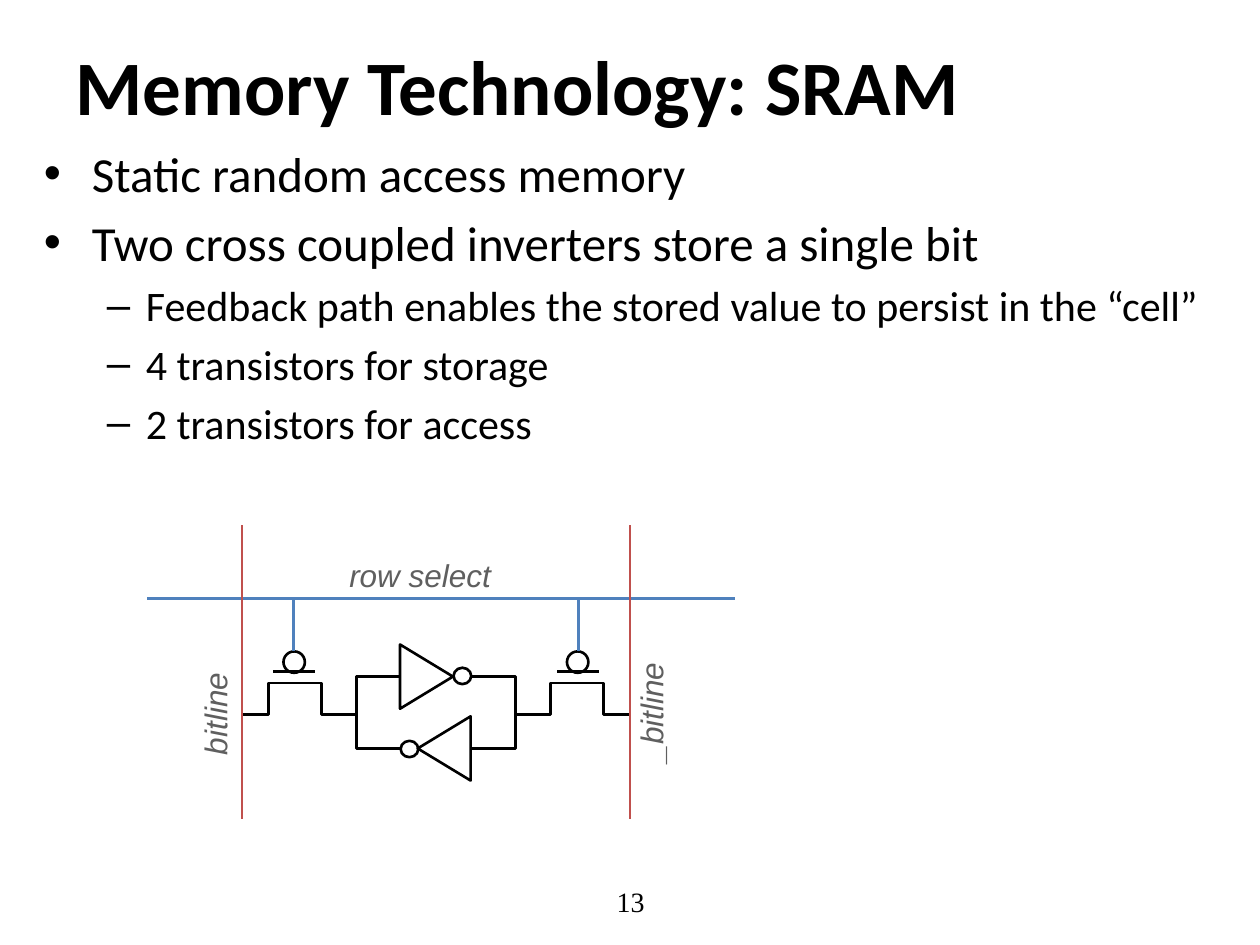
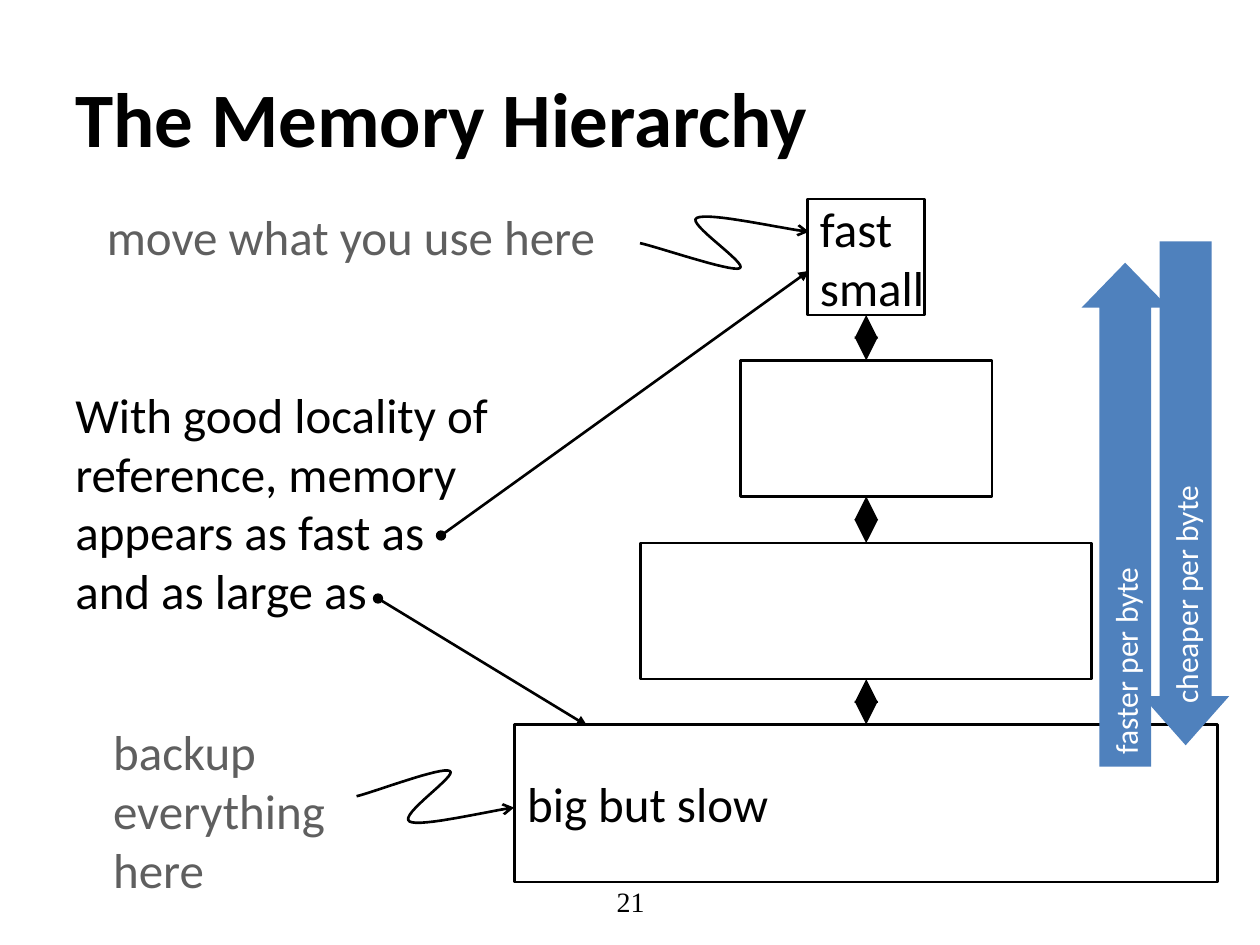
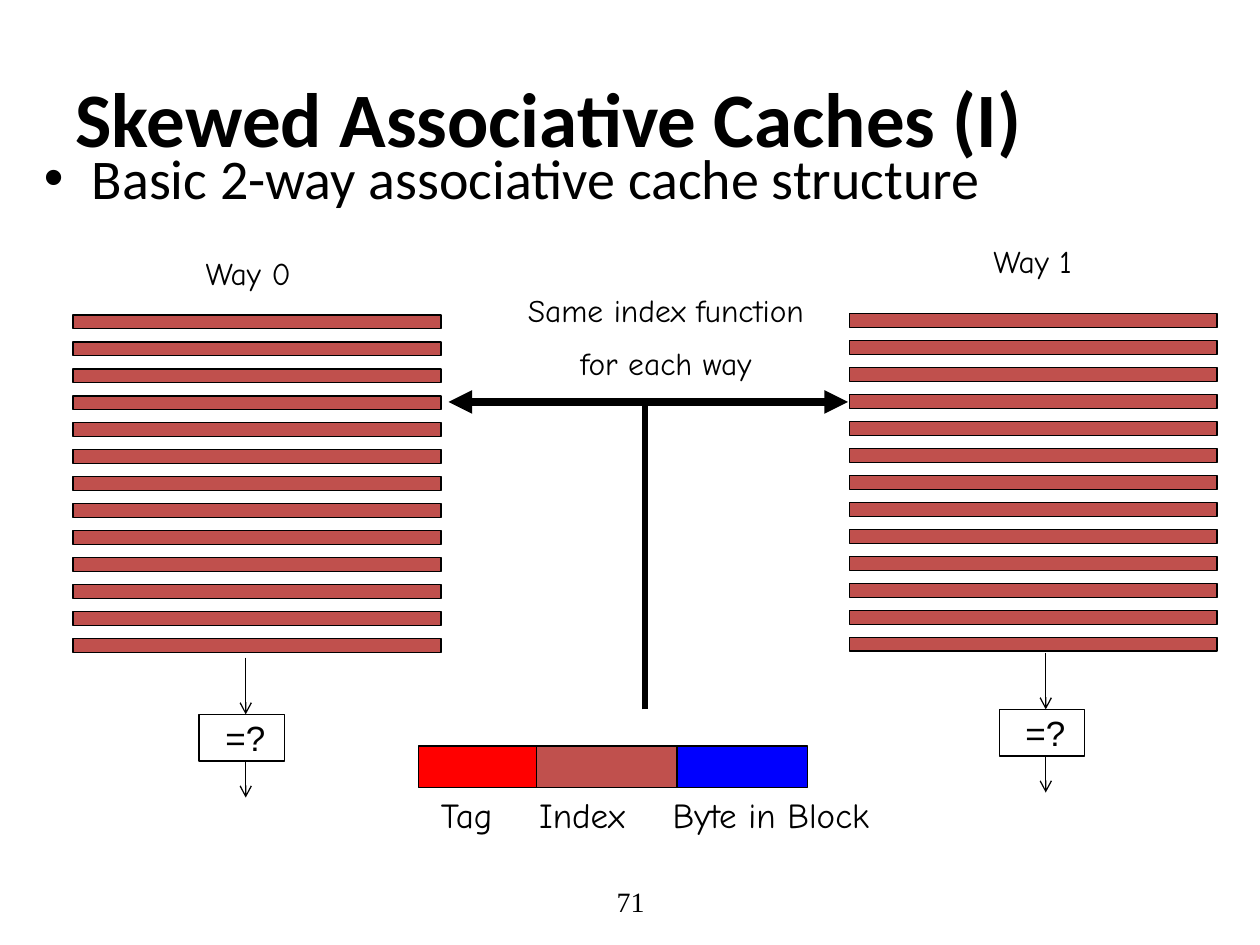
"""Build three lecture slides on SRAM, the memory hierarchy and associative caches."""
from itertools import pairwise

from lxml import etree
from pptx import Presentation
from pptx.dml.color import RGBColor
from pptx.enum.shapes import MSO_CONNECTOR, MSO_SHAPE
from pptx.enum.text import MSO_ANCHOR, MSO_AUTO_SIZE, PP_ALIGN
from pptx.oxml.ns import qn
from pptx.util import Inches, Pt

STRAIGHT = MSO_CONNECTOR.STRAIGHT
RECTANGLE, OVAL = MSO_SHAPE.RECTANGLE, MSO_SHAPE.OVAL
TRIANGLE = MSO_SHAPE.ISOSCELES_TRIANGLE
RIGHT_ARROW, LEFT_ARROW = MSO_SHAPE.RIGHT_ARROW, MSO_SHAPE.LEFT_ARROW
TOP, MIDDLE = MSO_ANCHOR.TOP, MSO_ANCHOR.MIDDLE
LEFT, CENTER = PP_ALIGN.LEFT, PP_ALIGN.CENTER
FIXED, GROW = MSO_AUTO_SIZE.NONE, MSO_AUTO_SIZE.SHAPE_TO_FIT_TEXT
TITLE_ONLY = 5


class Theme:
    """Colours, line widths and text styles (font, size, colour, bold, italic)."""
    BLACK, WHITE, GREY = "000000", "FFFFFF", "5F5F5F"
    BLUE, BRICK = "4F81BD", "C0504D"
    TAG_RED, BYTE_BLUE = "FF0000", "0000FF"
    THIN, NORMAL, STEM, HEAVY = 0.75, 1.5, 3, 4.5
    TITLE = ("Calibri", 44, BLACK, True, False)
    NUMBER = ("Times New Roman", 16, BLACK, False, False)
    TOPIC = ("Calibri", 32, BLACK, False, False)
    BODY = ("Calibri", 28, BLACK, False, False)
    DETAIL = ("Calibri", 24, BLACK, False, False)
    ADVICE = ("Calibri", 28, GREY, False, False)
    TREND = ("Calibri", 18, WHITE, False, False)
    WIRE = ("Arial", 18, GREY, False, True)
    COMPARE = ("Arial", 20, BLACK, False, False)
    CAPTION = ("Comic Neue", 18, BLACK, False, False)
    FIELD = ("Comic Neue", 20, BLACK, False, False)


def put_text(shape, text, style, align=LEFT, anchor=TOP, wrap=False, size=GROW):
    """Fill a shape with text in one style."""
    frame = shape.text_frame
    frame.text = text
    frame.word_wrap, frame.auto_size, frame.vertical_anchor = wrap, size, anchor
    for paragraph in frame.paragraphs:
        paragraph.alignment = align
        for run in paragraph.runs:
            run.font.name, run.font.size = style[0], Pt(style[1])
            run.font.color.rgb = RGBColor.from_string(style[2])
            run.font.bold, run.font.italic = style[3:]
    return frame.paragraphs


def draw(shape, color=Theme.BLACK, width=Theme.NORMAL, fill=None, head=None, tail=None):
    """Set line, fill and arrowheads of a shape or connector, without a shadow."""
    if color:
        shape.line.color.rgb = RGBColor.from_string(color)
        shape.line.width = Pt(width)
    else:
        shape.line.fill.background()
    if fill:
        shape.fill.solid()
        shape.fill.fore_color.rgb = RGBColor.from_string(fill)
    elif hasattr(shape, "fill"):
        shape.fill.background()
    properties = shape._element.spPr
    for end, kind in (("a:headEnd", head), ("a:tailEnd", tail)):
        if kind:
            etree.SubElement(properties.find(qn("a:ln")), qn(end), type=kind)
    etree.SubElement(properties, qn("a:effectLst"))
    return shape


deck = Presentation()
deck.slide_width, deck.slide_height = Inches(10), Inches(7.5)

BULLETS = (("•", 0.38, -0.38), ("–", 0.81, -0.31))
PAGES = (
    ("Memory Technology: SRAM", 0.05, "13", (
        (0, "Static random access memory", Theme.BODY),
        (0, "Two cross coupled inverters store a single bit", Theme.BODY),
        (1, "Feedback path enables the stored value to persist in the “cell”", Theme.DETAIL),
        (1, "4 transistors for storage", Theme.DETAIL),
        (1, "2 transistors for access", Theme.DETAIL))),
    ("The Memory Hierarchy", 0.3, "21", ()),
    ("Skewed Associative Caches (I)", 0.3, "71", (
        (0, "Basic 2-way associative cache structure", Theme.TOPIC),)),
)

canvases = []
for title, title_top, number, points in PAGES:
    shapes = deck.slides.add_slide(deck.slide_layouts[TITLE_ONLY]).shapes
    canvases.append(shapes)
    heading = shapes.title
    heading.left, heading.top = Inches(0.5), Inches(title_top)
    heading.width, heading.height = Inches(9), Inches(1.25)
    put_text(heading, title, Theme.TITLE, anchor=MIDDLE, wrap=True, size=FIXED)
    page_number = shapes.add_textbox(*map(Inches, (3.42, 6.95, 3.17, 0.4)))
    put_text(page_number, number, Theme.NUMBER, CENTER, MIDDLE, True, FIXED)
    if not points:
        continue
    body = shapes.add_textbox(*map(Inches, (0.25, 1.09, 9.42, 5.68)))
    paragraphs = put_text(body, "\n".join(text for _, text, _ in points),
                          points[0][2], wrap=True, size=FIXED)
    for position, (paragraph, (level, _, style)) in enumerate(zip(paragraphs, points)):
        mark, margin, indent = BULLETS[level]
        paragraph.level = level
        paragraph.space_before = Pt(0.2 * style[1] if position else 0)
        layout = paragraph._p.get_or_add_pPr()
        layout.set("marL", str(Inches(margin)))
        layout.set("indent", str(Inches(indent)))
        etree.SubElement(layout, qn("a:buFont"), typeface="Arial")
        etree.SubElement(layout, qn("a:buChar"), char=mark)
        paragraph.runs[0].font.size = Pt(style[1])

sram, hierarchy, cache = canvases

for left, top, turn, bubble_left, bubble_top in ((3.13, 5.16, 90, 3.6, 5.3),
                                                 (3.27, 5.73, 270, 3.18, 5.88)):
    inverter = draw(sram.add_shape(TRIANGLE, *map(Inches, (left, top, 0.51, 0.42))))
    inverter.rotation = turn
    draw(sram.add_shape(OVAL, *map(Inches, (bubble_left, bubble_top, 0.14, 0.13))))

draw(sram.add_connector(STRAIGHT, *map(Inches, (1.17, 4.75, 5.83, 4.75))), Theme.BLUE)

FEEDBACK = ((3.18, 5.37), (2.83, 5.37), (2.83, 5.94), (3.18, 5.94))
ACCESS = ((1.92, 5.67), (2.13, 5.67), (2.13, 5.42), (2.55, 5.42), (2.55, 5.67), (2.83, 5.67))
SIDE_LINES = (
    (2.17, 5.33, 2.5, 5.33, Theme.BLACK),
    (1.92, 4.17, 1.92, 6.5, Theme.BRICK),
    (2.33, 4.75, 2.33, 5.17, Theme.BLUE),
)
for mirror in (0, 6.92):
    for wire in (FEEDBACK, ACCESS):
        corners = [(Inches(abs(mirror - x)), Inches(y)) for x, y in wire]
        trace = sram.build_freeform(*corners[0])
        trace.add_line_segments(corners[1:], close=False)
        draw(trace.convert_to_shape())
    gate_left = abs(mirror - 2.335) - 0.085
    draw(sram.add_shape(OVAL, *map(Inches, (gate_left, 5.17, 0.17, 0.17))))
    for x1, y1, x2, y2, color in SIDE_LINES:
        ends = (abs(mirror - x1), y1, abs(mirror - x2), y2)
        draw(sram.add_connector(STRAIGHT, *map(Inches, ends)), color)

for name, left, top, width, turn in (("row select", 2.67, 4.4, 1.33, 0),
                                     ("bitline", 1.3, 5.48, 0.85, 270),
                                     ("_bitline", 4.69, 5.47, 0.99, 270)):
    wire_label = sram.add_textbox(*map(Inches, (left, top, width, 0.37)))
    put_text(wire_label, name, Theme.WIRE, CENTER)[0].line_spacing = 0.9
    wire_label.rotation = turn

TIER_CENTER = 6.875
tiers = []
for top, width, height, words, fill in ((1.58, 0.93, 0.92, "fast\nsmall", None),
                                        (2.86, 2, 1.08, "", Theme.WHITE),
                                        (4.31, 3.58, 1.08, "", Theme.WHITE),
                                        (5.75, 5.58, 1.25, "big but slow", None)):
    frame = (TIER_CENTER - width / 2, top, width, height)
    tier = draw(hierarchy.add_shape(RECTANGLE, *map(Inches, frame)), fill=fill)
    if words:
        put_text(tier, words, Theme.BODY, anchor=MIDDLE, size=FIXED)
    tiers.append(tier)
for upper, lower in pairwise(tiers):
    transfer = hierarchy.add_connector(STRAIGHT, 0, 0, 0, 0)
    transfer.begin_connect(upper, 2)
    transfer.end_connect(lower, 0)
    draw(transfer, width=Theme.HEAVY, head="triangle", tail="triangle")

for words, frame, style, wrap in (
        ("move what you use here", (0.75, 1.59, 4.12, 0.57), Theme.ADVICE, False),
        ("backup\neverything\nhere", (0.8, 5.68, 1.9, 1.51), Theme.ADVICE, False),
        ("With good locality of reference, memory appears as fast as\nand as large as",
         (0.5, 3, 3.7, 1.99), Theme.BODY, True)):
    put_text(hierarchy.add_textbox(*map(Inches, frame)), words, style, wrap=wrap)

for ends in ((3.5, 4.25, 6.42, 2.15), (3, 4.75, 4.66, 5.76)):
    draw(hierarchy.add_connector(STRAIGHT, *map(Inches, ends)), head="oval", tail="triangle")

CURVE_STEPS = 16
SQUIGGLES = (
    ((5.08, 1.93), (5.22, 1.96), (5.8, 2.16), (5.87, 2.13), (5.95, 2.1), (5.44, 1.77),
     (5.53, 1.73), (5.62, 1.68), (6.23, 1.82), (6.42, 1.84)),
    ((2.83, 6.32), (2.96, 6.29), (3.51, 6.08), (3.57, 6.12), (3.64, 6.15), (3.16, 6.47),
     (3.25, 6.52), (3.33, 6.57), (3.91, 6.43), (4.08, 6.41)),
)
for controls in SQUIGGLES:
    curve = []
    for start in range(0, len(controls) - 1, 3):
        for step in range(1, CURVE_STEPS + 1):
            t = step / CURVE_STEPS
            weights = ((1 - t) ** 3, 3 * t * (1 - t) ** 2, 3 * t * t * (1 - t), t ** 3)
            bends = controls[start:start + 4]
            curve.append([Inches(sum(w * bend[axis] for w, bend in zip(weights, bends)))
                          for axis in (0, 1)])
    squiggle = hierarchy.build_freeform(*map(Inches, controls[0]))
    squiggle.add_line_segments(curve, close=False)
    draw(squiggle.convert_to_shape(), tail="arrow")

for words, direction, left, top, head_length in (
        ("faster per byte", RIGHT_ARROW, 6.93, 3.74, 0.515),
        ("cheaper per byte", LEFT_ARROW, 7.41, 3.57, 0.565)):
    trend = hierarchy.add_shape(direction, *map(Inches, (left, top, 4, 0.69)))
    trend.adjustments[0], trend.adjustments[1] = 0.596, head_length
    trend.rotation = 270
    draw(trend, None, fill=Theme.BLUE)
    put_text(trend, words, Theme.TREND, anchor=MIDDLE, size=FIXED)

SET_COUNT, SET_PITCH = 13, 0.214
for way, left, top, label_frame, compare_left, compare_top in (
        ("Way 0", 0.58, 2.5, (1.49, 1.97, 0.96, 0.4), 1.58, 5.67),
        ("Way 1", 6.74, 2.49, (7.74, 1.87, 0.91, 0.4), 7.93, 5.63)):
    for row in range(SET_COUNT):
        frame = (left, top + row * SET_PITCH, 2.92, 0.11)
        draw(cache.add_shape(RECTANGLE, *map(Inches, frame)), width=Theme.THIN, fill=Theme.BRICK)
    put_text(cache.add_textbox(*map(Inches, label_frame)), way, Theme.CAPTION, CENTER, MIDDLE)
    frame = (compare_left, compare_top, 0.68, 0.37)
    draw(cache.add_shape(RECTANGLE, *map(Inches, frame)), width=Theme.THIN)
    frame = (compare_left + 0.11, compare_top - 0.03, 0.52, 0.44)
    put_text(cache.add_textbox(*map(Inches, frame)), "=?", Theme.COMPARE)
    flow_x = compare_left + 0.37
    for start, end in ((-0.45, 0), (0.37, 0.66)):
        ends = (flow_x, compare_top + start, flow_x, compare_top + end)
        draw(cache.add_connector(STRAIGHT, *map(Inches, ends)), width=Theme.THIN, tail="arrow")

for left, width, color in ((3.32, 2.83, Theme.TAG_RED), (4.26, 1.11, Theme.BRICK),
                           (5.38, 1.03, Theme.BYTE_BLUE)):
    field = cache.add_shape(RECTANGLE, *map(Inches, (left, 5.92, width, 0.33)))
    draw(field, width=Theme.THIN, fill=color)

field_names = cache.add_textbox(*map(Inches, (3.4, 6.25, 4.01, 0.44)))
names = put_text(field_names, "Tag\tIndex\tByte in Block", Theme.FIELD, wrap=True)[0]
tab_stops = etree.SubElement(names._p.get_or_add_pPr(), qn("a:tabLst"))
for stop in (0.78, 1.84):
    etree.SubElement(tab_stops, qn("a:tab"), pos=str(Inches(stop)), algn="l")

draw(cache.add_connector(STRAIGHT, *map(Inches, (5.12, 5.63, 5.12, 3.17))), width=Theme.STEM)
draw(cache.add_connector(STRAIGHT, *map(Inches, (3.56, 3.19, 6.73, 3.19))),
     width=Theme.HEAVY, head="triangle", tail="triangle")
index_note = cache.add_textbox(*map(Inches, (3.98, 2.24, 2.61, 0.86)))
note_lines = put_text(index_note, "Same index function\nfor each way",
                      Theme.CAPTION, CENTER, MIDDLE)
note_lines[1].space_before = Pt(9)

deck.save("out.pptx")
